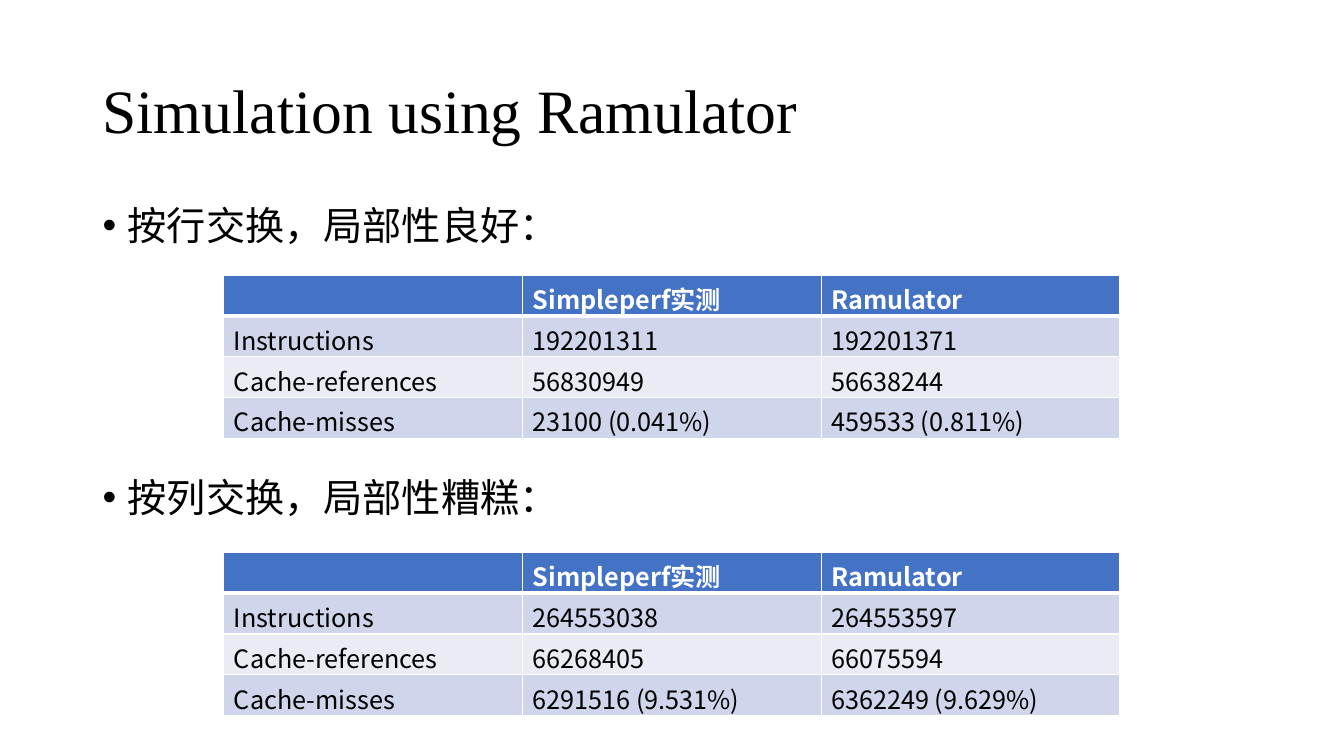
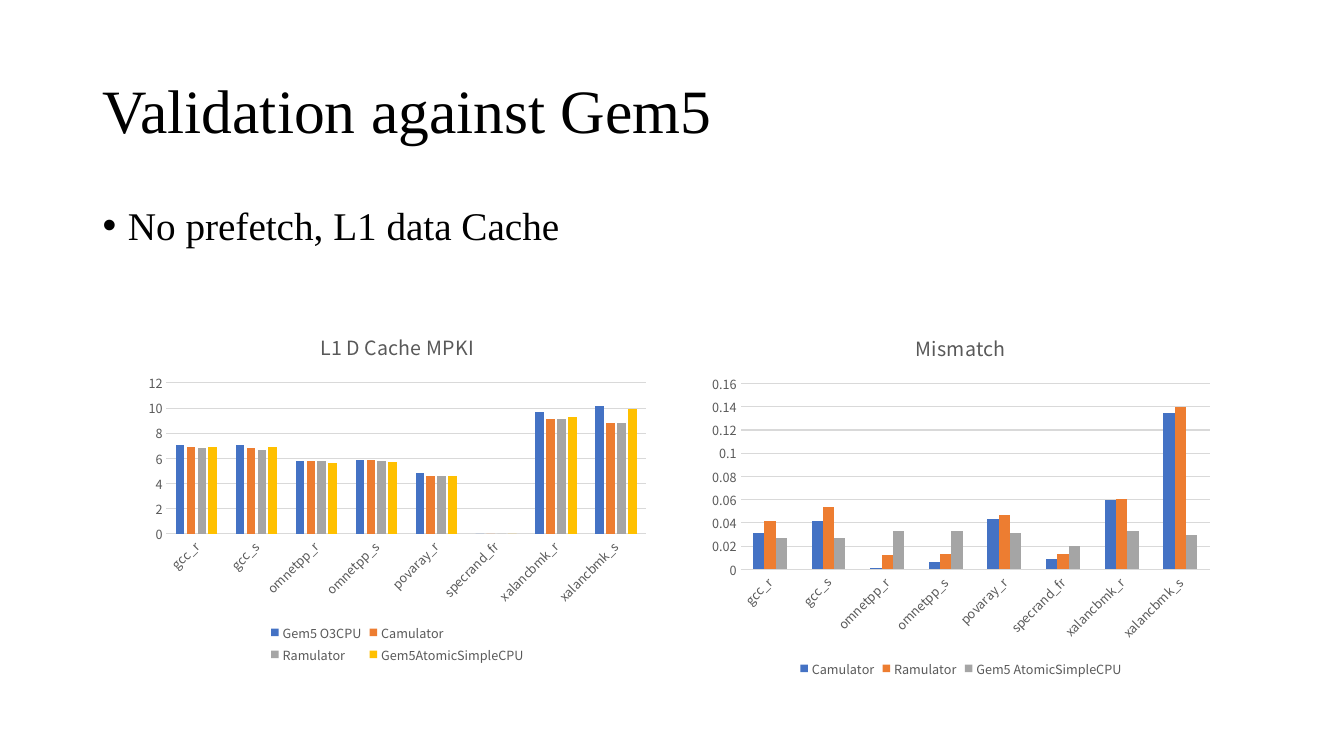
from dataclasses import dataclass

from lxml import etree
from pptx import Presentation
from pptx.chart.data import CategoryChartData
from pptx.dml.color import RGBColor
from pptx.enum.chart import XL_CHART_TYPE, XL_LEGEND_POSITION, XL_TICK_MARK
from pptx.enum.text import MSO_ANCHOR
from pptx.oxml.ns import qn
from pptx.util import Pt

COLUMN_CLUSTERED = XL_CHART_TYPE.COLUMN_CLUSTERED
LEGEND_BOTTOM = XL_LEGEND_POSITION.BOTTOM
NO_TICKS = XL_TICK_MARK.NONE
TOP, MIDDLE = MSO_ANCHOR.TOP, MSO_ANCHOR.MIDDLE

EMU_PER_PX = 9144  # 100 px to the inch
SLIDE_SIZE = (1333, 750)
TITLE_BOX = (92, 40, 1150, 145)
BODY_BOX = (92, 200, 1150, 476)
INDENT = 25


@dataclass(frozen=True)
class Theme:
    serif: str = "Times New Roman"
    sans: str = "Noto Sans CJK SC"
    text: str = "000000"
    light: str = "FFFFFF"
    muted: str = "595959"
    rule: str = "D9D9D9"
    header: str = "4472C4"
    bands: tuple = ("CFD5EA", "E9EBF5")
    series: tuple = ("4472C4", "ED7D31", "A5A5A5", "FFC000")
    title_size: int = 44
    body_size: int = 28
    table_size: int = 18
    chart_title_size: int = 14
    chart_size: int = 9


def px(length):
    return length * EMU_PER_PX


def apply_format(target, values):
    for name, value in values.items():
        setattr(target, name, value)


def add_element(parent, tag, **attributes):
    return etree.SubElement(parent, qn(tag), attributes)


class Deck:
    def __init__(self, theme):
        self.theme = theme
        self.presentation = Presentation()
        width, height = map(px, SLIDE_SIZE)
        apply_format(self.presentation, {"slide_width": width, "slide_height": height})
        self.slide = None

    def style_font(self, font, size, color, name=None, bold=False):
        apply_format(font, {"name": name or self.theme.sans, "size": Pt(size), "bold": bold})
        font.color.rgb = RGBColor.from_string(color)

    def add_run(self, paragraph, text, size, color, name=None, bold=False):
        run = paragraph.add_run()
        run.text = text
        self.style_font(run.font, size, color, name, bold)
        add_element(run._r.get_or_add_rPr(), "a:ea", typeface=self.theme.sans)

    def add_text_frame(self, box, anchor):
        frame = self.slide.shapes.add_textbox(*map(px, box)).text_frame
        apply_format(frame, {"word_wrap": True, "vertical_anchor": anchor})
        return frame

    def start_slide(self, title):
        self.slide = self.presentation.slides.add_slide(self.presentation.slide_layouts[6])
        paragraph = self.add_text_frame(TITLE_BOX, MIDDLE).paragraphs[0]
        paragraph.line_spacing = 0.9
        self.add_run(paragraph, title, self.theme.title_size, self.theme.text, self.theme.serif)

    def add_bullets(self, texts, gap=10):
        """Write bulleted paragraphs with gap points between them."""
        frame = self.add_text_frame(BODY_BOX, TOP)
        for index, text in enumerate(texts):
            paragraph = frame.add_paragraph() if index else frame.paragraphs[0]
            properties = paragraph._p.get_or_add_pPr()
            properties.set("marL", str(px(INDENT)))
            properties.set("indent", str(-px(INDENT)))
            add_element(properties, "a:buFont", typeface="Arial")
            add_element(properties, "a:buChar", char="•")
            apply_format(paragraph, {"line_spacing": 0.9, "space_before": Pt(gap if index else 0)})
            self.add_run(paragraph, text, self.theme.body_size, self.theme.text, self.theme.serif)

    def add_borders(self, cell, widths):
        """Draw cell borders; widths maps a side (L, R, T, B) to points."""
        properties = cell._tc.get_or_add_tcPr()
        for side, width in widths.items():
            line = add_element(properties, f"a:ln{side}", w=str(Pt(width)))
            add_element(add_element(line, "a:solidFill"), "a:srgbClr", val=self.theme.light)

    def add_table(self, box, rows):
        table = self.slide.shapes.add_table(len(rows), len(rows[0]), *map(px, box)).table
        table.horz_banding = False
        for row_index, row in enumerate(rows):
            is_header = row_index == 0
            fill = self.theme.header if is_header else self.theme.bands[(row_index - 1) % 2]
            color = self.theme.light if is_header else self.theme.text
            widths = {"L": 1, "R": 1, "T": 3 if row_index == 1 else 1, "B": 3 if is_header else 1}
            for column_index, text in enumerate(row):
                cell = table.cell(row_index, column_index)
                self.add_borders(cell, widths)
                cell.fill.solid()
                cell.fill.fore_color.rgb = RGBColor.from_string(fill)
                if text:
                    self.add_run(cell.text_frame.paragraphs[0], text,
                                 self.theme.table_size, color, bold=is_header)

    def style_axis(self, axis):
        apply_format(axis, {"major_tick_mark": NO_TICKS, "minor_tick_mark": NO_TICKS})
        self.style_font(axis.tick_labels.font, self.theme.chart_size, self.theme.muted)

    def style_rule(self, line):
        line.width = Pt(0.75)
        line.color.rgb = RGBColor.from_string(self.theme.rule)

    def add_column_chart(self, box, title, categories, series, maximum, step, overlap=0):
        data = CategoryChartData()
        data.categories = categories
        for name, values in series.items():
            data.add_series(name, values)
        chart = self.slide.shapes.add_chart(COLUMN_CLUSTERED, *map(px, box), data).chart
        self.style_font(chart.font, self.theme.chart_size, self.theme.muted)

        chart.has_title = True
        self.add_run(chart.chart_title.text_frame.paragraphs[0], title,
                     self.theme.chart_title_size, self.theme.muted)
        chart.has_legend = True
        apply_format(chart.legend, {"position": LEGEND_BOTTOM, "include_in_layout": False})
        self.style_font(chart.legend.font, self.theme.chart_size, self.theme.muted)

        category_axis, value_axis = chart.category_axis, chart.value_axis
        for axis in (category_axis, value_axis):
            self.style_axis(axis)
        self.style_rule(category_axis.format.line)
        category_axis._element.find(qn("c:txPr")).find(qn("a:bodyPr")).set("rot", "-2700000")
        apply_format(value_axis, {"minimum_scale": 0, "maximum_scale": maximum,
                                  "major_unit": step, "has_major_gridlines": True})
        value_axis.format.line.fill.background()
        self.style_rule(value_axis.major_gridlines.format.line)

        plot = chart.plots[0]
        apply_format(plot, {"gap_width": 219, "overlap": overlap, "vary_by_categories": False})
        for column_series, color in zip(plot.series, self.theme.series):
            column_series.format.fill.solid()
            column_series.format.fill.fore_color.rgb = RGBColor.from_string(color)


def build_simulation(deck):
    deck.start_slide("Simulation using Ramulator")
    deck.add_bullets(["按行交换，局部性良好：", "按列交换，局部性糟糕："], gap=164)
    header = ("", "Simpleperf实测", "Ramulator")
    metrics = ("Instructions", "Cache-references", "Cache-misses")
    by_row = [("192201311", "192201371"), ("56830949", "56638244"),
              ("23100 (0.041%)", "459533 (0.811%)")]
    by_column = [("264553038", "264553597"), ("66268405", "66075594"),
                 ("6291516 (9.531%)", "6362249 (9.629%)")]
    for top, counts in ((273, by_row), (548, by_column)):
        rows = [header] + [(metric, *pair) for metric, pair in zip(metrics, counts)]
        deck.add_table((222, top, 889, 162), rows)


def build_validation(deck):
    deck.start_slide("Validation against Gem5")
    deck.add_bullets(["No prefetch, L1 data Cache"])
    benchmarks = ["gcc_r", "gcc_s", "omnetpp_r", "omnetpp_s",
                  "povaray_r", "specrand_fr", "xalancbmk_r", "xalancbmk_s"]
    misses = {
        "Gem5 O3CPU": (7.1, 7.1, 5.8, 5.9, 4.8, 0, 9.7, 10.2),
        "Camulator": (6.9, 6.8, 5.8, 5.9, 4.6, 0, 9.1, 8.8),
        "Ramulator": (6.8, 6.7, 5.8, 5.8, 4.6, 0, 9.1, 8.8),
        "Gem5AtomicSimpleCPU": (6.9, 6.9, 5.6, 5.7, 4.6, 0, 9.3, 9.9),
    }
    mismatch = {
        "Camulator": (0.031, 0.042, 0.001, 0.006, 0.043, 0.009, 0.06, 0.135),
        "Ramulator": (0.042, 0.054, 0.012, 0.013, 0.047, 0.013, 0.061, 0.14),
        "Gem5 AtomicSimpleCPU": (0.027, 0.027, 0.033, 0.033, 0.031, 0.02, 0.033, 0.03),
    }
    deck.add_column_chart((137, 312, 514, 350), "L1 D Cache MPKI", benchmarks, misses,
                          maximum=12, step=2, overlap=-27)
    deck.add_column_chart((696, 312, 514, 364), "Mismatch", benchmarks, mismatch,
                          maximum=0.16, step=0.02)


def main():
    deck = Deck(Theme())
    build_simulation(deck)
    build_validation(deck)
    deck.presentation.save("out.pptx")


if __name__ == "__main__":
    main()
